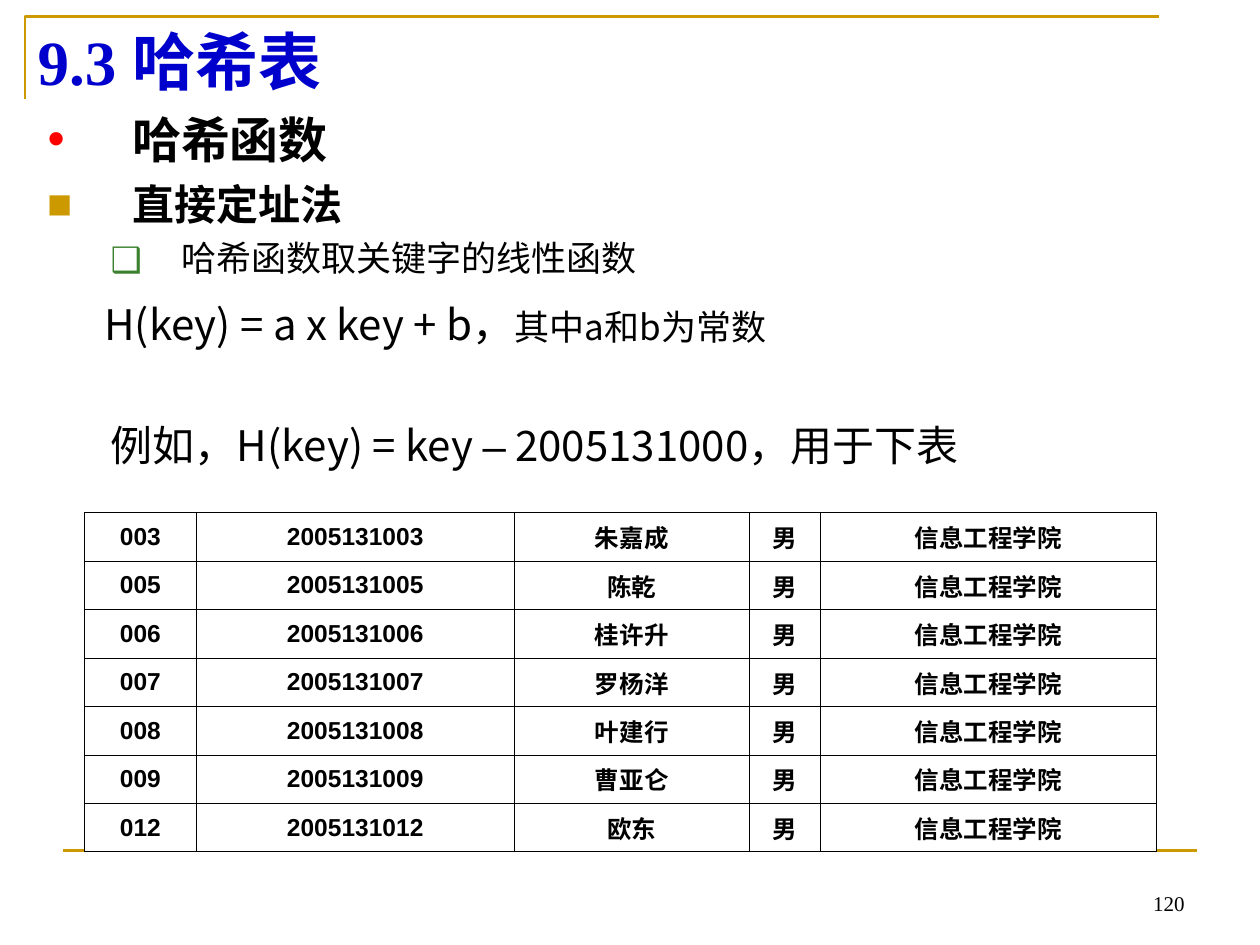
from lxml.etree import SubElement
from pptx import Presentation
from pptx.dml.color import RGBColor
from pptx.enum.shapes import MSO_CONNECTOR
from pptx.enum.text import MSO_ANCHOR, PP_ALIGN
from pptx.oxml.ns import qn
from pptx.util import Inches, Pt

CJK, SERIF, SANS = "Noto Sans CJK SC", "Times New Roman", "Arial"
BLACK, BLUE, GOLD = "000000", "0000CC", "CC9900"

# Each paragraph: runs as (text, format), then the paragraph's own format.
BODY = [
    ([("哈希函数", dict(size=28, bold=True))],
     dict(left=0.67, indent=-0.67, bullet=("•", "FF0000", 100, SANS))),
    ([("直接定址法", dict(size=24, bold=True))],
     dict(left=0.67, indent=-0.67, before=6, bullet=("■", GOLD, 60, CJK))),
    ([("哈希函数取关键字的线性函数", dict(size=20))],
     dict(level=1, left=1.06, indent=-0.56, before=4, bullet=("❑", "3B812F", 100, CJK))),
    ([("H(key) = a x key + b，", dict(size=24)), ("其中a和b为常数", dict(size=20))],
     dict(left=0.45, before=11.5)),
    ([("例如，H(key) = key ", dict(size=24)), ("–", dict(size=24, font=SANS)),
      (" 2005131000，用于下表", dict(size=24))],
     dict(level=1, left=0.5, before=40.5)),
]
STUDENTS = [("003", "朱嘉成"), ("005", "陈乾"), ("006", "桂许升"), ("007", "罗杨洋"),
            ("008", "叶建行"), ("009", "曹亚仑"), ("012", "欧东")]
COLUMN_WIDTHS = [0.89, 2.52, 1.87, 0.56, 2.67]
TABLE_HEIGHT = 2.69


def rgb(color):
    return RGBColor.from_string(color)


def add_text(paragraph, text, size, font=CJK, color=BLACK, bold=False):
    run = paragraph.add_run()
    run.text = text
    run.font.size, run.font.bold, run.font.name = Pt(size), bold, font
    run.font.color.rgb = rgb(color)
    SubElement(run.font._element, qn("a:ea"), typeface=CJK)


def format_paragraph(paragraph, left, indent=0, before=0, level=0, bullet=None):
    paragraph.level = level
    paragraph.space_before = Pt(before)
    properties = paragraph._p.get_or_add_pPr()
    properties.set("marL", str(Inches(left)))
    properties.set("indent", str(Inches(indent)))
    if bullet:
        character, color, percent, font = bullet
        bullet_color = SubElement(properties, qn("a:buClr"))
        SubElement(bullet_color, qn("a:srgbClr"), val=color)
        SubElement(properties, qn("a:buSzPct"), val=str(percent * 1000))
        SubElement(properties, qn("a:buFont"), typeface=font)
        SubElement(properties, qn("a:buChar"), char=character)


def add_box(slide, left, top, width, height, anchor=MSO_ANCHOR.TOP):
    box = slide.shapes.add_textbox(*map(Inches, (left, top, width, height)))
    box.text_frame.word_wrap = True
    box.text_frame.vertical_anchor = anchor
    return box.text_frame


def add_frame_lines(slide):
    builder = slide.shapes.build_freeform(Inches(0.2), Inches(0.79))
    builder.add_line_segments(
        [(Inches(0.2), Inches(0.13)), (Inches(9.2), Inches(0.13))], close=False)
    corner = builder.convert_to_shape()
    corner.shadow.inherit = False
    corner.fill.background()
    footer = slide.shapes.add_connector(
        MSO_CONNECTOR.STRAIGHT, Inches(0.5), Inches(6.75), Inches(9.5), Inches(6.75))
    SubElement(footer._element.spPr, qn("a:effectLst"))
    for shape in (corner, footer):
        shape.line.color.rgb = rgb(GOLD)
        shape.line.width = Pt(1.5)


def add_borders(cell):
    properties = cell._tc.get_or_add_tcPr()
    for position, side in enumerate(("a:lnL", "a:lnR", "a:lnT", "a:lnB")):
        line = properties.makeelement(qn(side), {"w": str(Pt(0.45))})
        fill = SubElement(line, qn("a:solidFill"))
        SubElement(fill, qn("a:srgbClr"), val=BLACK)
        properties.insert(position, line)


def add_student_table(slide):
    rows = [(number, "2005131" + number, name, "男", "信息工程学院")
            for number, name in STUDENTS]
    table = slide.shapes.add_table(
        len(rows), len(COLUMN_WIDTHS), Inches(0.67), Inches(4.07),
        Inches(sum(COLUMN_WIDTHS)), Inches(TABLE_HEIGHT)).table
    for column, width in zip(table.columns, COLUMN_WIDTHS):
        column.width = Inches(width)
    for row_index, row in enumerate(rows):
        for column_index, text in enumerate(row):
            cell = table.cell(row_index, column_index)
            cell.fill.solid()
            cell.fill.fore_color.rgb = rgb("FFFFFF")
            cell.vertical_anchor = MSO_ANCHOR.MIDDLE
            add_borders(cell)
            paragraph = cell.text_frame.paragraphs[0]
            paragraph.alignment = PP_ALIGN.CENTER
            add_text(paragraph, text, 14, font=SANS, bold=True)


def main():
    presentation = Presentation()
    presentation.slide_width, presentation.slide_height = Inches(10), Inches(7.5)
    slide = presentation.slides.add_slide(presentation.slide_layouts[6])
    add_frame_lines(slide)

    number = add_box(slide, 7.17, 6.82, 2.33, 0.5, MSO_ANCHOR.BOTTOM).paragraphs[0]
    number.alignment = PP_ALIGN.RIGHT
    add_text(number, "120", 12, font=SERIF)

    body = add_box(slide, 0.28, 0.82, 9.45, 3.07)
    for index, (runs, layout) in enumerate(BODY):
        paragraph = body.add_paragraph() if index else body.paragraphs[0]
        format_paragraph(paragraph, **layout)
        for text, style in runs:
            add_text(paragraph, text, **style)

    title = add_box(slide, 0.2, 0.12, 9, 0.71, MSO_ANCHOR.MIDDLE).paragraphs[0]
    add_text(title, "9.3 哈希表", 36, font=SERIF, color=BLUE, bold=True)

    add_student_table(slide)
    presentation.save("out.pptx")


if __name__ == "__main__":
    main()
